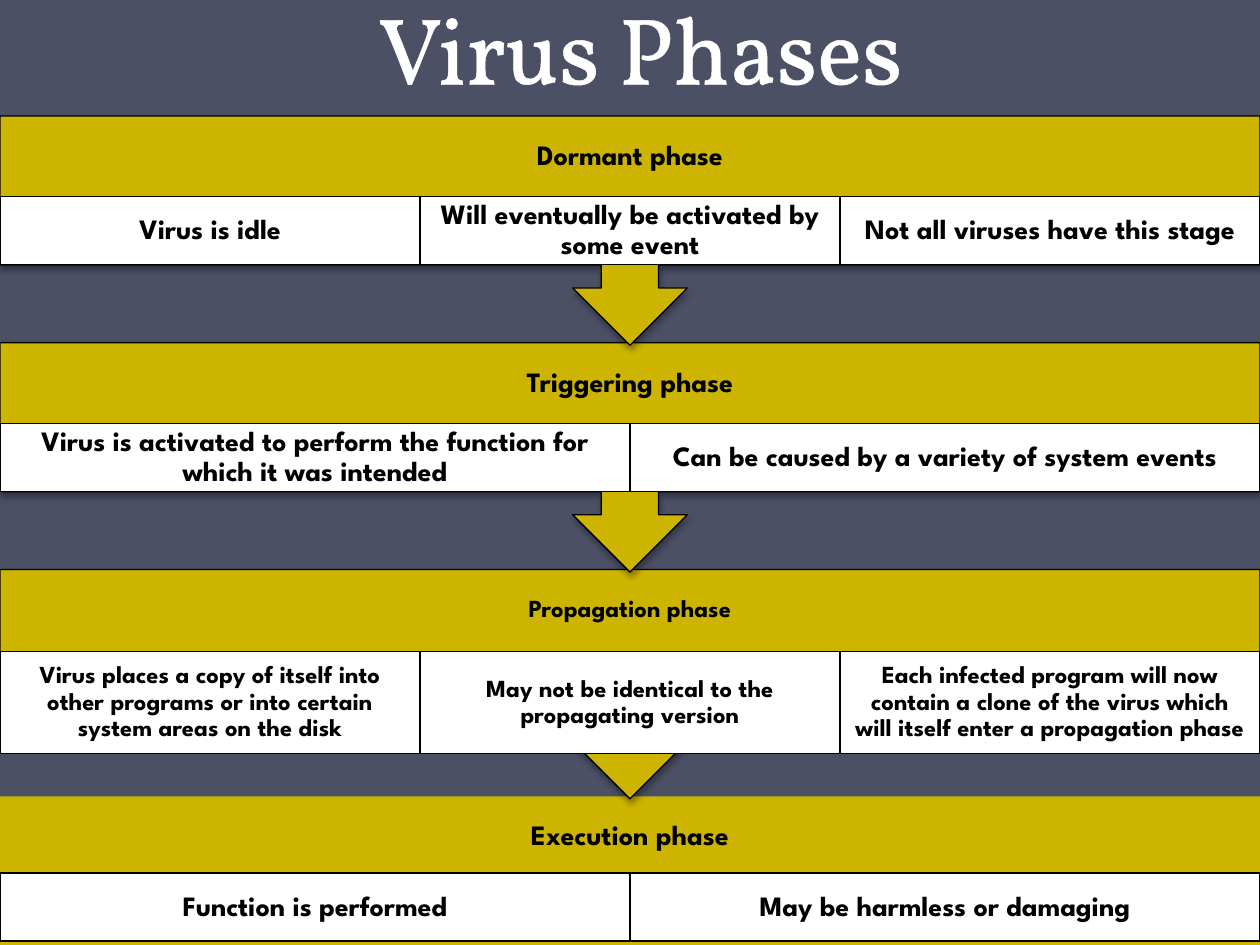
import lxml.etree
import pptx
import pptx.dml.color
import pptx.enum.shapes
import pptx.enum.text
import pptx.oxml
import pptx.oxml.ns
import pptx.util

Inches = pptx.util.Inches
Pt = pptx.util.Pt
RGBColor = pptx.dml.color.RGBColor
Shape = pptx.enum.shapes.MSO_SHAPE
Anchor = pptx.enum.text.MSO_ANCHOR

SLATE = RGBColor(0x4B, 0x50, 0x64)
GOLD = RGBColor(0xCC, 0xB4, 0x00)
WHITE = RGBColor(0xFF, 0xFF, 0xFF)
BLACK = RGBColor(0x00, 0x00, 0x00)

TITLE_FORMAT = {"name": "Vollkorn", "size": Pt(54)}
PHASE_FORMAT = {"name": "League Spartan", "bold": True}

WIDTH = 10
FIRST_TOP = 0.92
PHASE_STEP = 1.8
CALLOUT_HEIGHT = 1.82
FINAL_HEIGHT = 1.18
HEADING_HEIGHT = 0.64

# heading, text size, details, offset of the details row, its height
PHASES = [
    ("Dormant phase", 16,
     ["Virus is idle",
      "Will eventually be activated by some event",
      "Not all viruses have this stage"], 0.64, 0.54),
    ("Triggering phase", 16,
     ["Virus is activated to perform the function for which it was intended",
      "Can be caused by a variety of system events"], 0.64, 0.54),
    ("Propagation phase", 14,
     ["Virus places a copy of itself into other programs or into certain "
      "system areas on the disk",
      "May not be identical to the propagating version",
      "Each infected program will now contain a clone of the virus which "
      "will itself enter a propagation phase"], 0.65, 0.81),
    ("Execution phase", 16,
     ["Function is performed",
      "May be harmless or damaging"], 0.61, 0.54),
]

DRAWING = 'xmlns:a="http://schemas.openxmlformats.org/drawingml/2006/main"'
SHADOW = (
    f'<a:effectLst {DRAWING}><a:outerShdw blurRad="{Pt(3.1)}" dist="{Pt(1.8)}" '
    'dir="5400000" rotWithShape="0"><a:srgbClr val="000000">'
    '<a:alpha val="35000"/></a:srgbClr></a:outerShdw></a:effectLst>')
TITLE_OUTLINE = (
    f'<a:ln {DRAWING} w="{Pt(1.45)}"><a:solidFill>'
    '<a:srgbClr val="FFFFFF"/></a:solidFill></a:ln>')


def set_values(target, values):
    for name, value in values.items():
        setattr(target, name, value)


def write_text(shape, text, size, margin):
    """Centre bold phase text in a shape."""
    frame = shape.text_frame
    set_values(frame, {
        "word_wrap": True, "vertical_anchor": Anchor.MIDDLE,
        "margin_left": Inches(0.12), "margin_right": Inches(0.12),
        "margin_top": Inches(margin), "margin_bottom": Inches(margin)})
    paragraph = frame.paragraphs[0]
    set_values(paragraph, {"alignment": pptx.enum.text.PP_ALIGN.CENTER,
                           "line_spacing": 0.9})
    run = paragraph.add_run()
    run.text = text
    set_values(run.font, {**PHASE_FORMAT, "size": Pt(size)})
    run.font.color.rgb = BLACK


def add_block(slide, kind, box, fill, outlined=True):
    shape = slide.shapes.add_shape(kind, *map(Inches, box))
    shape.shadow.inherit = False
    shape.fill.solid()
    shape.fill.fore_color.rgb = fill
    if outlined:
        shape.line.color.rgb = BLACK
        shape.line.width = Pt(0.75)
    else:
        shape.line.fill.background()
    return shape


def add_shadow(shape):
    properties = shape._element.spPr
    properties.remove(properties.find(pptx.oxml.ns.qn("a:effectLst")))
    properties.append(pptx.oxml.parse_xml(SHADOW))


def add_title(slide, box):
    title = slide.shapes.title
    left, top, width, height = map(Inches, box)
    set_values(title, {"left": left, "top": top,
                       "width": width, "height": height})
    frame = title.text_frame
    set_values(frame, {"vertical_anchor": Anchor.BOTTOM, "word_wrap": True,
                       "auto_size": pptx.enum.text.MSO_AUTO_SIZE.NONE})
    paragraph = frame.paragraphs[0]
    set_values(paragraph, {"alignment": pptx.enum.text.PP_ALIGN.CENTER,
                           "line_spacing": Pt(58)})
    run = paragraph.add_run()
    run.text = "Virus Phases"
    set_values(run.font, TITLE_FORMAT)
    run.font.color.rgb = WHITE
    run.font._element.insert(0, pptx.oxml.parse_xml(TITLE_OUTLINE))


def add_phase(slide, box, phase, is_last):
    """Add a gold band with its heading and a row of equal detail cells."""
    heading, size, details, row_offset, row_height = phase
    left, top, width, _ = box
    kind = Shape.RECTANGLE if is_last else Shape.DOWN_ARROW_CALLOUT
    add_shadow(add_block(slide, kind, box, GOLD, outlined=not is_last))

    heading_box = slide.shapes.add_textbox(
        *map(Inches, (left, top, width, HEADING_HEIGHT)))
    write_text(heading_box, heading, size, 0.12)

    cell_width = width / len(details)
    for column, detail in enumerate(details):
        cell = add_block(slide, Shape.RECTANGLE,
                         (left + column * cell_width, top + row_offset,
                          cell_width, row_height), WHITE)
        write_text(cell, detail, size, 0.02)


def main():
    presentation = pptx.Presentation()
    presentation.slide_width = Inches(WIDTH)
    presentation.slide_height = Inches(7.5)
    slide = presentation.slides.add_slide(presentation.slide_layouts[5])
    slide.background.fill.solid()
    slide.background.fill.fore_color.rgb = SLATE

    add_title(slide, (0.58, -0.88, 9, 1.75))
    last = len(PHASES) - 1
    # From the bottom up, so that each arrow tip lies over the next band
    for index, phase in reversed(list(enumerate(PHASES))):
        height = FINAL_HEIGHT if index == last else CALLOUT_HEIGHT
        box = (0, FIRST_TOP + index * PHASE_STEP, WIDTH, height)
        add_phase(slide, box, phase, index == last)
    presentation.save("out.pptx")


if __name__ == "__main__":
    main()
